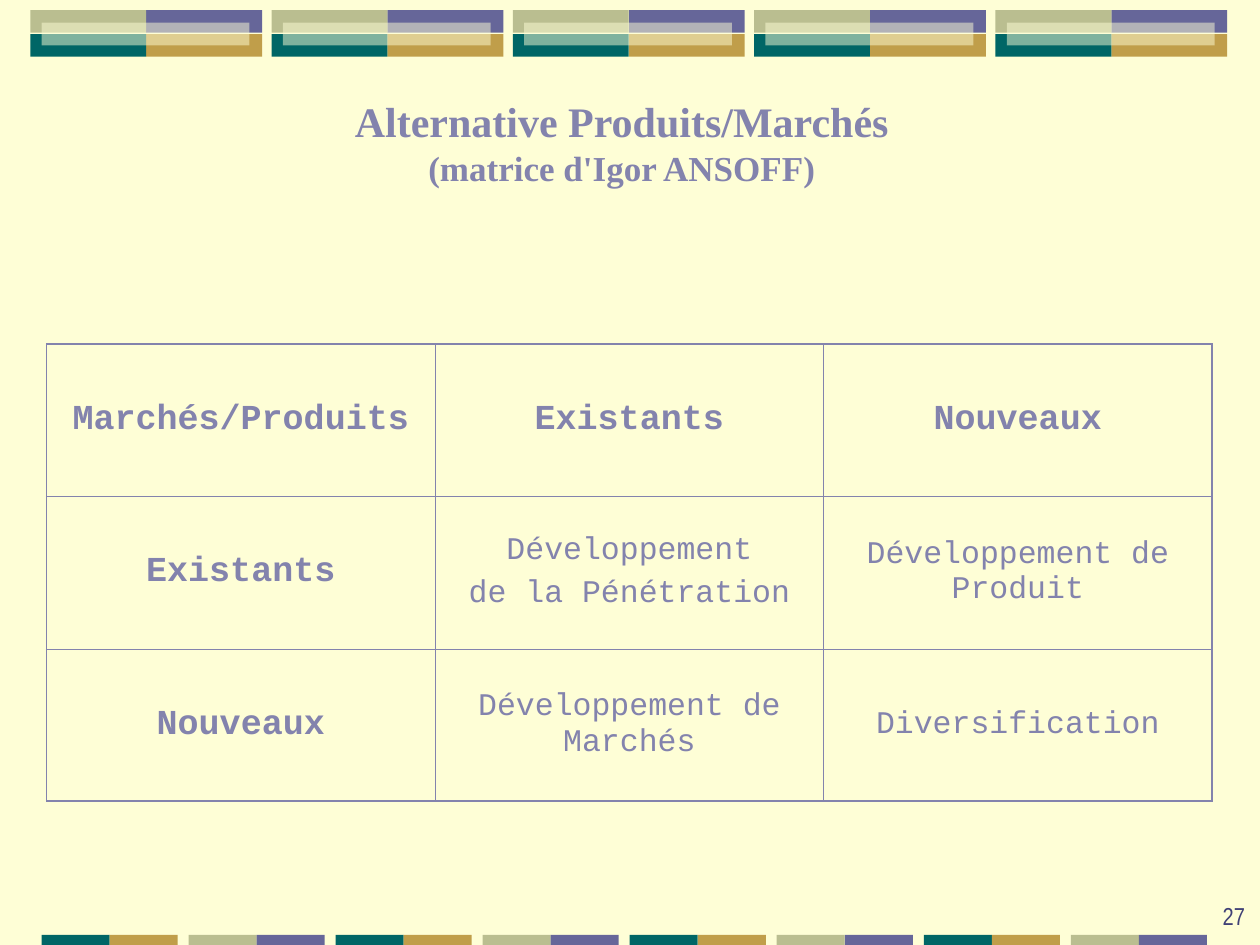
from lxml.etree import SubElement
from pptx import Presentation
from pptx.dml.color import RGBColor
from pptx.enum.shapes import MSO_SHAPE
from pptx.enum.text import MSO_ANCHOR, MSO_AUTO_SIZE, PP_ALIGN
from pptx.oxml.ns import qn
from pptx.util import Inches, Pt

CREAM = RGBColor(0xFE, 0xFE, 0xD6)
VIOLET = RGBColor(0x66, 0x66, 0x99)
GOLD = RGBColor(0xC0, 0x9E, 0x4A)
TEAL = RGBColor(0x00, 0x66, 0x66)
OLIVE = RGBColor(0xBA, 0xBE, 0x90)
LAVENDER = RGBColor(0x83, 0x83, 0xAD)
INDIGO = RGBColor(0x40, 0x41, 0x76)

OUTER, INNER = 1.08, 0.45  # border widths in points

MATRIX = [
    [["Marchés/Produits"], ["Existants"], ["Nouveaux"]],
    [["Existants"], ["Développement", "de la Pénétration"], ["Développement de Produit"]],
    [["Nouveaux"], ["Développement de Marchés"], ["Diversification"]],
]
HEADING = {"name": "Courier New", "size": Pt(20), "bold": True}
ENTRY = {"name": "Courier New", "size": Pt(18), "bold": False}


def add_block(page, left, top, width, height, color, opacity=None):
    block = page.shapes.add_shape(
        MSO_SHAPE.RECTANGLE, Inches(left), Inches(top), Inches(width), Inches(height))
    block.shadow.inherit = False
    block.fill.solid()
    block.fill.fore_color.rgb = color
    block.line.fill.background()
    if opacity is not None:
        tint = block.fill._xPr.find(qn("a:solidFill"))[0]
        SubElement(tint, qn("a:alpha"), val=str(opacity * 1000))


def add_top_band(page):
    width, height = 0.92, 0.18
    for index in range(5):
        left = 0.24 + index * 1.915
        add_block(page, left + width, 0.08, width, height, VIOLET)
        add_block(page, left + width, 0.27, width, height, GOLD)
        add_block(page, left, 0.27, width, height, TEAL)
        add_block(page, left, 0.08, width, height, OLIVE)
        add_block(page, left + 0.09, 0.18, 1.65, height, CREAM, opacity=50)


def add_bottom_band(page):
    width = 0.54
    for index in range(8):
        left = 0.33 + index * 1.167
        colors = (OLIVE, VIOLET) if index % 2 else (TEAL, GOLD)
        for side, color in enumerate(colors):
            add_block(page, left + side * width, 7.42, width, 0.08, color)


def write_lines(frame, lines, color, align, space_before=0):
    """Write one paragraph for each (text, font values) pair."""
    for index, (text, font) in enumerate(lines):
        para = frame.add_paragraph() if index else frame.paragraphs[0]
        para.alignment = align
        para.space_before = Pt(space_before)
        span = para.add_run()
        span.text = text
        span.font.color.rgb = color
        for name, value in font.items():
            setattr(span.font, name, value)


def set_title(page):
    title = page.shapes.title
    title.left, title.top = Inches(2.71), Inches(0.71)
    title.width, title.height = Inches(4.45), Inches(0.84)
    frame = title.text_frame
    frame.word_wrap = False
    frame.auto_size = MSO_AUTO_SIZE.SHAPE_TO_FIT_TEXT
    frame.vertical_anchor = MSO_ANCHOR.TOP
    font = {"name": "Times New Roman", "bold": True}
    write_lines(frame, [
        ("Alternative Produits/Marchés", {**font, "size": Pt(24)}),
        ("(matrice d'Igor ANSOFF)", {**font, "size": Pt(20)}),
    ], LAVENDER, PP_ALIGN.CENTER)


def set_borders(cell, widths):
    properties = cell._tc.get_or_add_tcPr()
    for side, width in widths.items():
        line = SubElement(properties, qn(f"a:ln{side}"), w=str(Pt(width)))
        fill = SubElement(line, qn("a:solidFill"))
        SubElement(fill, qn("a:srgbClr"), val=str(LAVENDER))


def add_matrix(page):
    size = len(MATRIX)
    table = page.shapes.add_table(
        size, size, Inches(0.37), Inches(2.73), Inches(9.25), Inches(3.63)).table
    table.first_row = table.horz_banding = False
    last = size - 1
    for row, entries in enumerate(MATRIX):
        for column, lines in enumerate(entries):
            cell = table.cell(row, column)
            cell.vertical_anchor = MSO_ANCHOR.MIDDLE
            set_borders(cell, {
                "L": OUTER if column == 0 else INNER,
                "R": OUTER if column == last else INNER,
                "T": OUTER if row == 0 else INNER,
                "B": OUTER if row == last else INNER,
            })
            cell.fill.background()
            is_heading = row == 0 or column == 0
            font = HEADING if is_heading else ENTRY
            write_lines(cell.text_frame, [(text, font) for text in lines],
                        LAVENDER, PP_ALIGN.CENTER, 5 if is_heading else 4.5)


def add_page_number(page):
    box = page.shapes.add_textbox(Inches(7.9), Inches(6.93), Inches(2.08), Inches(0.5))
    frame = box.text_frame
    frame.word_wrap = True
    frame.vertical_anchor = MSO_ANCHOR.BOTTOM
    write_lines(frame, [("27", {"name": "Arial Narrow", "size": Pt(14)})],
                INDIGO, PP_ALIGN.RIGHT)


def main():
    deck = Presentation()
    deck.slide_width, deck.slide_height = Inches(10), Inches(7.5)
    page = deck.slides.add_slide(deck.slide_layouts[5])  # title only
    page.background.fill.solid()
    page.background.fill.fore_color.rgb = CREAM

    # Decorative bands
    add_top_band(page)
    add_bottom_band(page)

    # Content
    add_matrix(page)
    set_title(page)
    add_page_number(page)
    deck.save("out.pptx")


if __name__ == "__main__":
    main()
